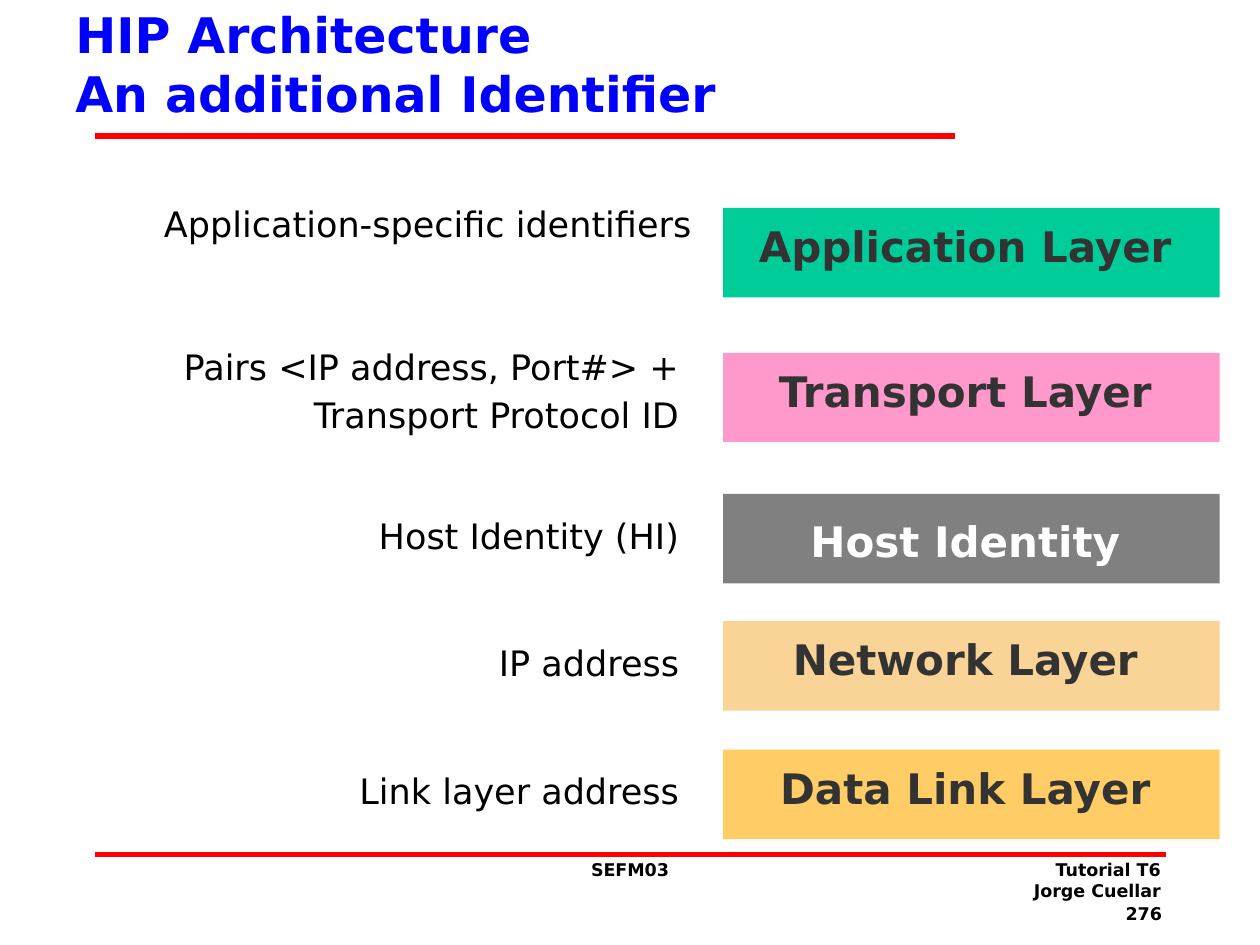
from lxml import etree
from pptx import Presentation
from pptx.dml.color import RGBColor
from pptx.enum.shapes import MSO_CONNECTOR, MSO_SHAPE
from pptx.enum.text import MSO_ANCHOR, PP_ALIGN
from pptx.oxml.ns import qn
from pptx.util import Inches, Pt

LEFT, CENTER, RIGHT = PP_ALIGN.LEFT, PP_ALIGN.CENTER, PP_ALIGN.RIGHT
TOP, MIDDLE = MSO_ANCHOR.TOP, MSO_ANCHOR.MIDDLE
RECTANGLE = MSO_SHAPE.RECTANGLE
STRAIGHT = MSO_CONNECTOR.STRAIGHT

COLORS = {
    "title": "0000FF", "rule": "FF0000", "text": "000000",
    "dark": "333333", "light": "FFFFFF",
    "application": "00CC99", "transport": "FF99CC", "identity": "808080",
    "network": "FAD496", "link": "FFCC66",
}
COLUMNS, ROWS = 100, 75
BOX_LEFT, BOX_WIDTH, BOX_HEIGHT = 57.4, 39.4, 7.1
LABEL_WIDTH = 48.3

# Insets in inches: left, top, right, bottom
PLAIN = (0.1, 0.05, 0.1, 0.05)
LABEL = (0, 0, 0.1, 0.05)
RAISED = (0, 0, 0.1, 0.11)
LOWERED = (0, 0.03, 0.1, 0)

# Name, fill, font colour, insets, box top, label, label right edge, label top
LAYERS = [
    ("Application Layer", "application", "dark", RAISED, 16.5,
     "Application-specific identifiers", 55.9, 15.6),
    ("Transport Layer", "transport", "dark", RAISED, 28,
     "Pairs <IP address, Port#> + Transport Protocol ID", 54.9, 26.9),
    ("Host Identity", "identity", "light", LOWERED, 39.2,
     "Host Identity (HI)", 54.9, 40.3),
    ("Network Layer", "network", "dark", RAISED, 49.3,
     "IP address", 54.9, 50.4),
    ("Data Link Layer", "link", "dark", RAISED, 59.5,
     "Link layer address", 54.9, 60.6),
]


class SlideBuilder:
    """Places styled elements on a slide divided into COLUMNS by ROWS."""

    font = "DejaVu Sans"

    def __init__(self, presentation):
        self.column = presentation.slide_width / COLUMNS
        self.row = presentation.slide_height / ROWS
        self.slide = presentation.slides.add_slide(presentation.slide_layouts[6])

    def place(self, left, top, width, height):
        return (round(left * self.column), round(top * self.row),
                round(width * self.column), round(height * self.row))

    def fill_text(self, shape, text, size, color, bold, align, anchor, insets, spacing=None):
        frame = shape.text_frame
        frame.text = text
        frame.word_wrap = True
        frame.vertical_anchor = anchor
        (frame.margin_left, frame.margin_top,
         frame.margin_right, frame.margin_bottom) = map(Inches, insets)
        for paragraph in frame.paragraphs:
            paragraph.alignment = align
            paragraph.line_spacing = spacing
            for run in paragraph.runs:
                run.font.name = self.font
                run.font.size = Pt(size)
                run.font.bold = bold
                run.font.color.rgb = RGBColor.from_string(COLORS[color])

    def text(self, area, text, size, color="text", bold=True, align=LEFT,
             anchor=TOP, insets=PLAIN, spacing=None):
        shape = self.slide.shapes.add_textbox(*self.place(*area))
        self.fill_text(shape, text, size, color, bold, align, anchor, insets, spacing)

    def box(self, area, text, fill, color, insets):
        shape = self.slide.shapes.add_shape(RECTANGLE, *self.place(*area))
        shape.shadow.inherit = False
        shape.fill.solid()
        shape.fill.fore_color.rgb = RGBColor.from_string(COLORS[fill])
        shape.line.fill.background()
        self.fill_text(shape, text, 24, color, True, CENTER, MIDDLE, insets)

    def rule(self, left, right, top):
        left, top, width, _ = self.place(left, top, right - left, 0)
        line = self.slide.shapes.add_connector(STRAIGHT, left, top, left + width, top)
        line.line.color.rgb = RGBColor.from_string(COLORS["rule"])
        line.line.width = Pt(3)
        etree.SubElement(line._element.spPr, qn("a:effectLst"))


def main():
    presentation = Presentation()
    presentation.slide_width = Inches(10)
    presentation.slide_height = Inches(7.5)
    builder = SlideBuilder(presentation)

    builder.rule(7.5, 75.8, 10.8)
    builder.rule(7.5, 92.5, 67.8)
    builder.text((85.2, 71.2, 8, 2.5), "276", 10, align=RIGHT)
    builder.text((39.6, 67.7, 20.8, 5), "SEFM03", 10, align=CENTER)
    builder.text((72.3, 67.7, 20.8, 5), "Tutorial T6\nJorge Cuellar", 10, align=RIGHT)
    builder.text((5, 0, 66.9, 10.1), "HIP Architecture\vAn additional Identifier",
                 28, color="title", anchor=MIDDLE)

    for name, fill, color, insets, top, label, label_right, label_top in LAYERS:
        builder.box((BOX_LEFT, top, BOX_WIDTH, BOX_HEIGHT), name, fill, color, insets)
        builder.text((label_right - LABEL_WIDTH, label_top, LABEL_WIDTH, 4.4), label, 20,
                     bold=False, align=RIGHT, insets=LABEL, spacing=1.15)

    presentation.save("out.pptx")


if __name__ == "__main__":
    main()
